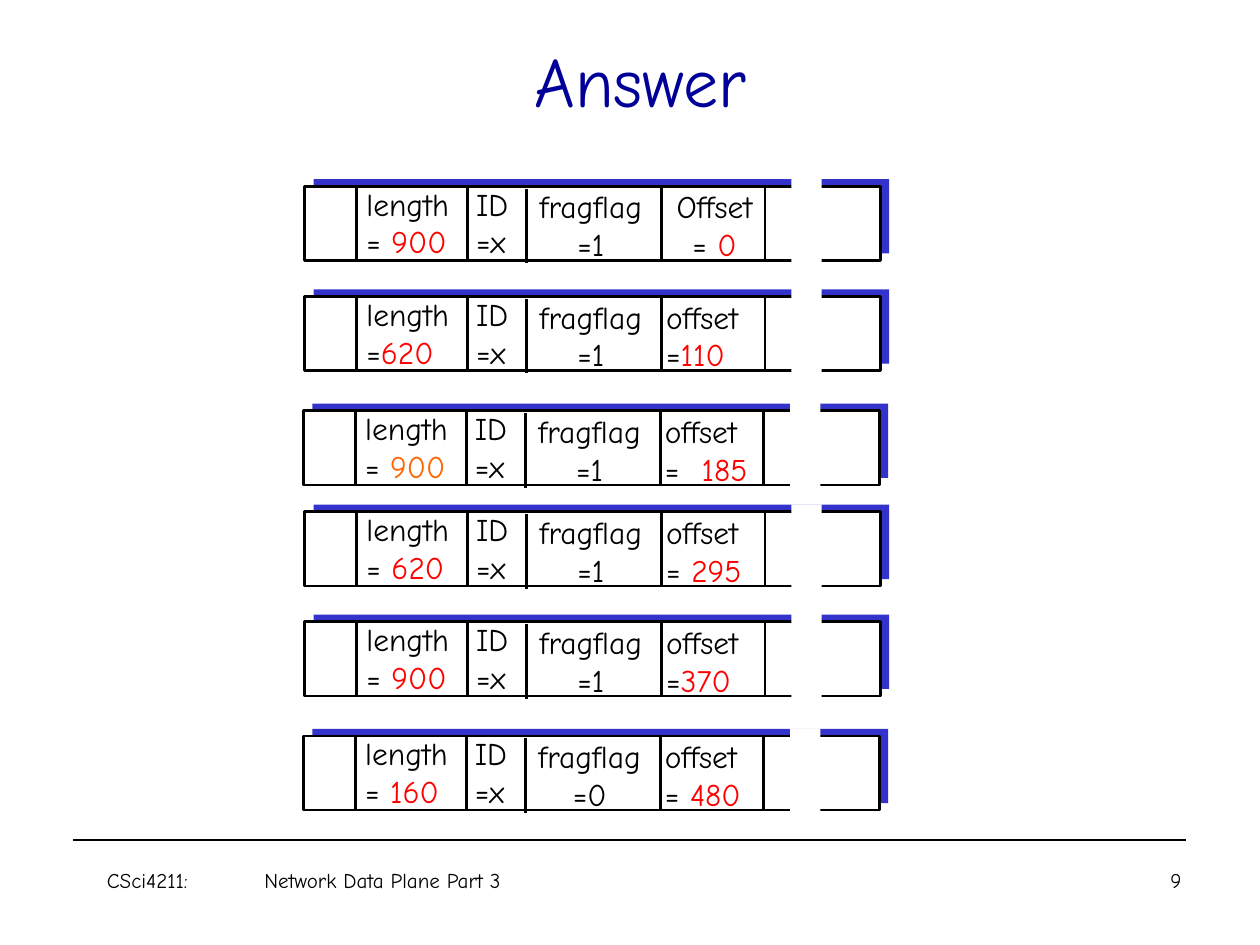
from lxml import etree
from pptx import Presentation
from pptx.dml.color import RGBColor
from pptx.enum.shapes import MSO_CONNECTOR, MSO_SHAPE
from pptx.enum.text import MSO_ANCHOR, MSO_AUTO_SIZE, PP_ALIGN
from pptx.oxml.ns import qn
from pptx.util import Pt

FONT = "Comic Neue"
BLACK, WHITE, RED, ORANGE = "000000", "FFFFFF", "FF0000", "FF6600"
NAVY, BLUE = "000099", "3333CC"
LEFT, CENTER = PP_ALIGN.LEFT, PP_ALIGN.CENTER

ROW_W, ROW_H = 329, 42.5
DIVIDERS = [(29.5, 0), (93, 0), (126.7, 1.5), (203.8, 0), (262.9, 0)]

# left, top, length, length colour, flag, offset label, offset prefix, offset, alignment
FRAGMENTS = [
    (174.2, 106.4, "= ", "900", RED, "1", "Offset", "= ", "0", CENTER),
    (174.2, 169.3, "=", "620", RED, "1", "offset", "=", "110", LEFT),
    (173.5, 234.6, "= ", "900", ORANGE, "1", "offset", "=\t", "185", LEFT),
    (174.2, 292.4, "= ", "620", RED, "1", "offset", "= ", "295", LEFT),
    (174.2, 355.2, "= ", "900", RED, "1", "offset", "=", "370", LEFT),
    (173.5, 420.5, "= ", "160", RED, "0", "offset", "= ", "480", LEFT),
]


def rgb(value):
    return RGBColor.from_string(value)


def add_rect(shapes, x, y, w, h, fill, line=None):
    s = shapes.add_shape(MSO_SHAPE.RECTANGLE, Pt(x), Pt(y), Pt(w), Pt(h))
    s.shadow.inherit = False
    s.fill.solid()
    s.fill.fore_color.rgb = rgb(fill)
    if line:
        s.line.color.rgb = rgb(line)
        s.line.width = Pt(1.5)
    else:
        s.line.fill.background()


def add_line(shapes, x1, y1, x2, y2, width=1.5):
    c = shapes.add_connector(MSO_CONNECTOR.STRAIGHT, Pt(x1), Pt(y1), Pt(x2), Pt(y2))
    c.line.color.rgb = rgb(BLACK)
    c.line.width = Pt(width)
    etree.SubElement(c._element.spPr, qn("a:effectLst"))


def write(tf, lines, size, align=LEFT, tab=None):
    """Fill a text frame; each line is a list of (text, colour) runs."""
    for i, line in enumerate(lines):
        p = tf.paragraphs[0] if i == 0 else tf.add_paragraph()
        p.alignment = align
        if tab:
            tabs = etree.SubElement(p._p.get_or_add_pPr(), qn("a:tabLst"))
            etree.SubElement(tabs, qn("a:tab"), pos=str(Pt(tab)), algn="l")
        for text, color in line:
            r = p.add_run()
            r.text = text
            for name, value in {"name": FONT, "size": Pt(size)}.items():
                setattr(r.font, name, value)
            r.font.color.rgb = rgb(color)


def add_text(shapes, x, y, w, h, lines, size=18, align=LEFT, tab=None, wrap=False):
    tf = shapes.add_textbox(Pt(x), Pt(y), Pt(w), Pt(h)).text_frame
    tf.word_wrap = wrap
    tf.auto_size = MSO_AUTO_SIZE.NONE if wrap else MSO_AUTO_SIZE.SHAPE_TO_FIT_TEXT
    write(tf, lines, size, align, tab)


def add_title(slide, text):
    s = slide.shapes.title
    box = {"left": 60, "top": 0.7, "width": 612, "height": 90}
    for name, value in box.items():
        setattr(s, name, Pt(value))
    s.text_frame.vertical_anchor = MSO_ANCHOR.MIDDLE
    write(s.text_frame, [[(text, NAVY)]], 40, CENTER)


def add_fragment(slide, x, y, length_eq, length, length_color, flag,
                 offset_label, offset_eq, offset, offset_align):
    """Draw one datagram header with its front box at x, y."""
    shapes = slide.shapes.add_group_shape().shapes
    add_rect(shapes, x + 5, y - 4, ROW_W, ROW_H, BLUE)
    add_rect(shapes, x, y, ROW_W, ROW_H, WHITE, BLACK)

    offset_x, offset_w = (196.6, 75) if offset_align == CENTER else (199.4, 70)
    fields = [
        (90.8, -4.4, 37.4, "ID", [("=x", BLACK)], LEFT),
        (offset_x, -2.8, offset_w, offset_label,
         [(offset_eq, BLACK), (offset, RED)], offset_align),
        (121.7, -2.8, 83.5, "fragflag", [("=" + flag, BLACK)], CENTER),
        (28.1, -4.4, 67.7, "length",
         [(length_eq, BLACK), (length, length_color)], LEFT),
    ]
    for dx, dy, w, label, value, align in fields:
        tab = 21 if "\t" in value[0][0] else None
        add_text(shapes, x + dx, y + dy, w, 50.5, [[(label, BLACK)], value],
                 align=align, tab=tab)

    for dx, dy in DIVIDERS:
        add_line(shapes, x + dx, y + dy, x + dx, y + dy + ROW_H)
    add_rect(shapes, x + 278, y - 4.2, 17.3, 47.5, WHITE)


def add_footer(slide, course, topic, number):
    add_line(slide.shapes, 42, 480, 678, 480, 0.75)
    add_text(slide.shapes, 555, 492, 234, 36, [[(number, BLACK)]], 12, CENTER, wrap=True)
    add_text(slide.shapes, 54, 492, 282, 24, [[(f"{course}\t{topic}", BLACK)]], 12,
             tab=90, wrap=True)


def main():
    prs = Presentation()
    prs.slide_width, prs.slide_height = Pt(720), Pt(540)
    slide = prs.slides.add_slide(prs.slide_layouts[5])
    add_title(slide, "Answer")
    for fragment in FRAGMENTS:
        add_fragment(slide, *fragment)
    add_footer(slide, "CSci4211:", "Network Data Plane Part 3", "9")
    prs.save("out.pptx")


if __name__ == "__main__":
    main()
